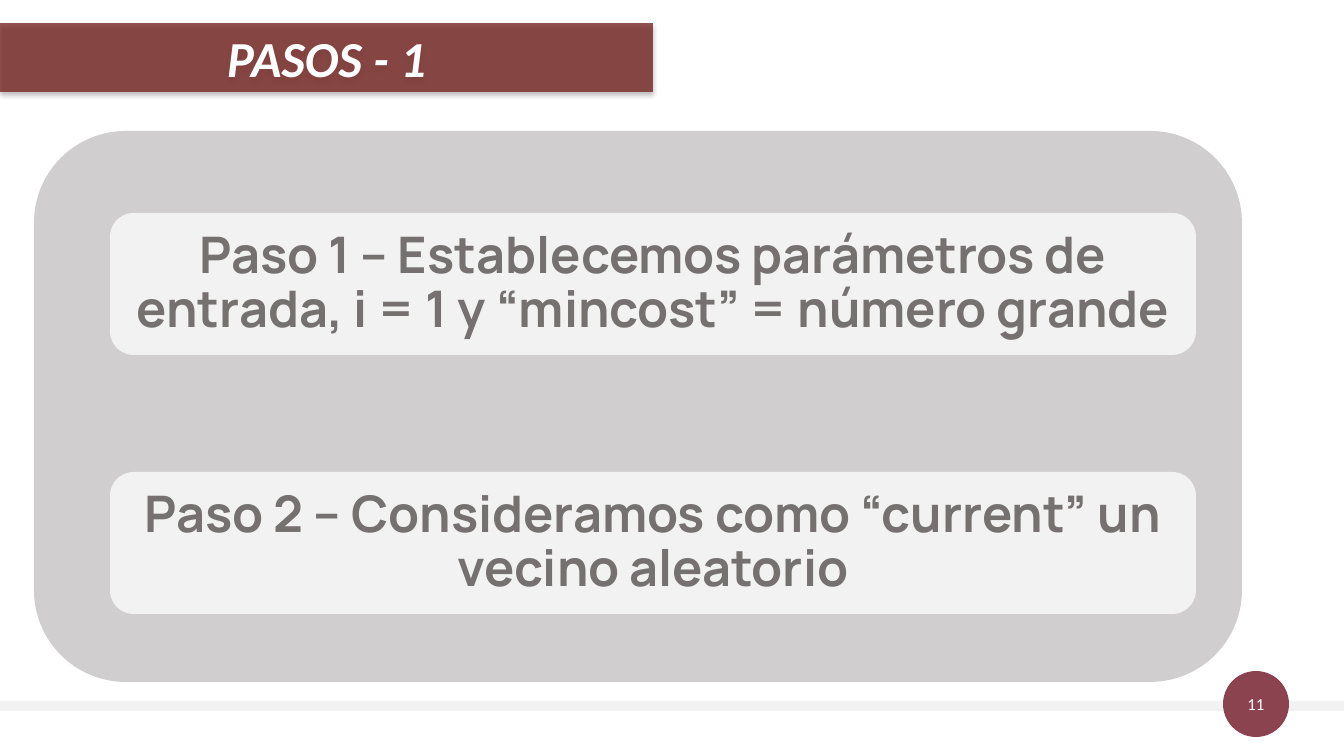
from pptx import Presentation
from pptx import util as u
from pptx.dml.color import RGBColor
from pptx.enum import shapes, text
from pptx.oxml import parse_xml
from pptx.oxml.ns import nsdecls, qn

PX = 914400 / 100.8
HEX = {"band": "731F1C", "badge": "8A434F", "panel": "D0CECE",
       "pale": "F2F2F2", "gray": "767171", "white": "FFFFFF"}
FORM = {
    "title": {"name": "Calibri", "size": u.Pt(36), "bold": True, "italic": True},
    "step": {"name": "Manrope", "size": u.Pt(36), "bold": True},
    "page": {"name": "Calibri", "size": u.Pt(12)},
}
KIND = shapes.MSO_SHAPE


class Deck:
    def __init__(self, wide, high):
        self.prs = Presentation()
        self.prs.slide_width = self.emu(wide)
        self.prs.slide_height = self.emu(high)
        self.slide = self.prs.slides.add_slide(self.prs.slide_layouts[5])

    def emu(self, px):
        return u.Emu(round(px * PX))

    def paint(self, shape, color):
        shape.fill.solid()
        shape.fill.fore_color.rgb = RGBColor.from_string(HEX[color])
        shape.line.fill.background()

    def letter(self, shape, words, form, color, inset, space=1.0):
        frame = shape.text_frame
        frame.word_wrap = True
        frame.auto_size = text.MSO_AUTO_SIZE.NONE
        frame.vertical_anchor = text.MSO_ANCHOR.MIDDLE
        for side in ("left", "top", "right", "bottom"):
            setattr(frame, "margin_" + side, self.emu(inset))
        para = frame.paragraphs[0]
        para.alignment = text.PP_ALIGN.CENTER
        para.line_spacing = space
        run = para.add_run()
        run.text = words
        for key, value in FORM[form].items():
            setattr(run.font, key, value)
        run.font.color.rgb = RGBColor.from_string(HEX[color])

    def shape(self, kind, box, color):
        item = self.slide.shapes.add_shape(kind, *map(self.emu, box))
        item.shadow.inherit = False
        self.paint(item, color)
        return item

    def title(self, words, box):
        item = self.slide.shapes.title
        item.left, item.top, item.width, item.height = map(self.emu, box)
        self.paint(item, "band")
        self.letter(item, words, "title", "white", 10)
        # Translucent fill and soft shadow
        props = item._element.spPr
        tint = props.find(".//" + qn("a:srgbClr"))
        tint.append(parse_xml(f'<a:alpha {nsdecls("a")} val="76000"/>'))
        props.append(parse_xml(
            f'<a:effectLst {nsdecls("a")}><a:outerShdw blurRad="44450" '
            'dist="27940" dir="5400000" algn="t" rotWithShape="0">'
            '<a:srgbClr val="000000"><a:alpha val="32000"/></a:srgbClr>'
            '</a:outerShdw></a:effectLst>'))

    def step(self, words, box):
        item = self.shape(KIND.ROUNDED_RECTANGLE, box, "pale")
        self.letter(item, words, "step", "gray", 10, 0.9)

    def label(self, words, box):
        item = self.slide.shapes.add_textbox(*map(self.emu, box))
        self.letter(item, words, "page", "white", 0)


def main():
    deck = Deck(1344, 756)

    # Footer
    deck.shape(KIND.RECTANGLE, (0, 701, 1344, 10), "pale")
    deck.shape(KIND.OVAL, (1223, 671, 66, 66), "badge")
    deck.label("11", (1223, 682, 66, 44))

    # Heading
    deck.title("PASOS - 1", (0, 23, 653, 69))

    # Steps on their panel
    deck.shape(KIND.ROUNDED_RECTANGLE, (34, 131, 1208, 551), "panel")
    steps = (
        "Paso 1 – Establecemos parámetros de entrada, i = 1 y “mincost” = número grande",
        "Paso 2 – Consideramos como “current” un vecino aleatorio",
    )
    for row, words in enumerate(steps):
        deck.step(words, (110, 213 + row * 259, 1086, 142))

    deck.prs.save("out.pptx")


if __name__ == "__main__":
    main()
